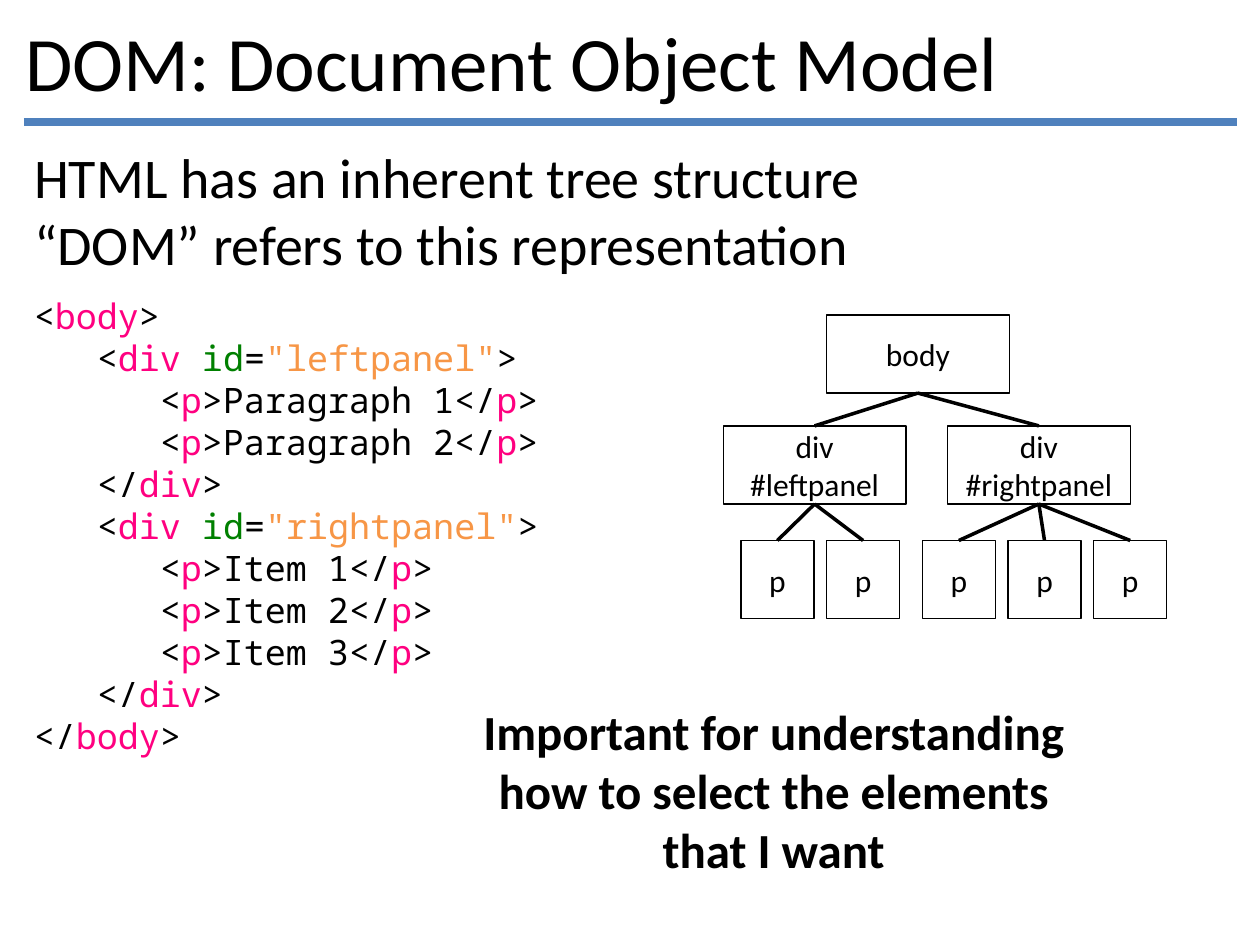
"""Build the slide that shows an HTML snippet beside its DOM tree."""
from lxml.etree import SubElement
from pptx import Presentation
from pptx.dml.color import RGBColor
from pptx.enum.shapes import MSO_CONNECTOR, MSO_SHAPE
from pptx.enum.text import MSO_ANCHOR, MSO_AUTO_SIZE, PP_ALIGN
from pptx.oxml.ns import qn
from pptx.util import Inches, Pt

BLACK, RULE, TAG, ATTR, VALUE = "000000", "4F81BD", "FF0080", "008000", "F79646"
SANS, MONO = "Calibri", "Noto Sans Mono"

TITLE = "DOM: Document Object Model"
BODY = ["HTML has an inherent tree structure", "“DOM” refers to this representation"]
NOTE = "Important for understanding how to select the elements that I want"
PANELS = [
    ("leftpanel", ["Paragraph 1", "Paragraph 2"]),
    ("rightpanel", ["Item 1", "Item 2", "Item 3"]),
]

NODE_H, PANEL_W, LEAF_W, LEAF_STEP = 0.62, 1.45, 0.58, 0.68
ROOT_X, ROOT_Y, PANEL_Y, LEAF_Y = 6.56, 2.5, 3.38, 4.29
PANEL_XS, LEAF_XS = [5.74, 7.52], [5.88, 7.32]


def rgb(color):
    return RGBColor.from_string(color)


def add_run(p, text, size, color=BLACK, font=SANS, bold=False):
    r = p.add_run()
    r.text = text
    r.font.size, r.font.name, r.font.bold = Pt(size), font, bold
    r.font.color.rgb = rgb(color)


def fill_text(tf, lines, size, align=PP_ALIGN.LEFT, font=SANS, bold=False):
    """Write each line, a list of (text, color) runs, as one paragraph."""
    for i, line in enumerate(lines):
        p = tf.paragraphs[0] if i == 0 else tf.add_paragraph()
        p.alignment = align
        p.space_before = Pt(0)
        for text, color in line:
            add_run(p, text, size, color, font, bold)


def plain(*texts):
    return [[(text, BLACK)] for text in texts]


def place(sp, x, y, w, h):
    sp.left, sp.top, sp.width, sp.height = map(Inches, (x, y, w, h))


def add_text(slide, x, y, w, h, wrap=True):
    tf = slide.shapes.add_textbox(*map(Inches, (x, y, w, h))).text_frame
    tf.word_wrap = wrap
    return tf


def add_line(slide, start, end, color=BLACK, width=2):
    line = slide.shapes.add_connector(MSO_CONNECTOR.STRAIGHT, *map(Inches, start + end))
    line.line.color.rgb, line.line.width = rgb(color), Pt(width)
    SubElement(line._element.spPr, qn("a:effectLst"))


def add_node(slide, x, y, w, *texts, parent=None):
    """Draw a tree node, link it to its parent and return its bottom centre."""
    sp = slide.shapes.add_shape(MSO_SHAPE.RECTANGLE, *map(Inches, (x, y, w, NODE_H)))
    sp.shadow.inherit = False
    sp.fill.background()
    sp.line.color.rgb, sp.line.width = rgb(BLACK), Pt(0.75)
    sp.text_frame.vertical_anchor = MSO_ANCHOR.MIDDLE
    fill_text(sp.text_frame, plain(*texts), 18, PP_ALIGN.CENTER)
    if parent:
        add_line(slide, parent, (x + w / 2, y))
    return x + w / 2, y + NODE_H


def tag(mark, name, indent=""):
    return [(indent + mark, BLACK), (name, TAG), (">", BLACK)]


def code_lines():
    lines = [tag("<", "body")]
    for name, items in PANELS:
        lines.append([("\t<", BLACK), ("div ", TAG), ("id", ATTR), ("=", BLACK),
                      (f'"{name}"', VALUE), (">", BLACK)])
        lines += [[("\t\t<", BLACK), ("p", TAG), (f">{item}</", BLACK),
                   ("p", TAG), (">", BLACK)] for item in items]
        lines.append(tag("</", "div", "\t"))
    return lines + [tag("</", "body")]


def set_tabs(p, *stops):
    tabs = SubElement(p._p.get_or_add_pPr(), qn("a:tabLst"))
    for stop in stops:
        SubElement(tabs, qn("a:tab"), pos=str(Inches(stop)), algn="l")


def remove_bullet(p):
    pPr = p._p.get_or_add_pPr()
    pPr.set("marL", "0")
    pPr.set("indent", "0")
    SubElement(pPr, qn("a:buNone"))


def main():
    prs = Presentation()
    prs.slide_width, prs.slide_height = Inches(10), Inches(7.5)
    slide = prs.slides.add_slide(prs.slide_layouts[1])
    add_line(slide, (0.19, 0.97), (9.82, 0.97), RULE, 4.5)

    title, body = slide.placeholders
    place(title, 0, 0, 10, 0.97)
    place(body, 0.17, 1.08, 9.66, 1.18)
    for sp in (title, body):
        sp.text_frame.auto_size = MSO_AUTO_SIZE.NONE
    tf = title.text_frame
    tf.margin_left = tf.margin_right = Inches(0.2)
    tf.vertical_anchor = MSO_ANCHOR.MIDDLE
    fill_text(tf, plain(TITLE), 44)
    fill_text(body.text_frame, plain(*BODY), 32)
    for p in body.text_frame.paragraphs:
        remove_bullet(p)

    code = add_text(slide, 0.17, 2.29, 4.24, 3.8, wrap=False)
    fill_text(code, code_lines(), 20, font=MONO)
    for p in code.paragraphs:
        set_tabs(p, 0.5, 1)

    root = add_node(slide, ROOT_X, ROOT_Y, PANEL_W, "body")
    for (name, items), panel_x, leaf_x in zip(PANELS, PANEL_XS, LEAF_XS):
        panel = add_node(slide, panel_x, PANEL_Y, PANEL_W, "div", f"#{name}", parent=root)
        for i in range(len(items)):
            add_node(slide, leaf_x + i * LEAF_STEP, LEAF_Y, LEAF_W, "p", parent=panel)

    note = add_text(slide, 3.54, 5.52, 5.2, 1.51)
    fill_text(note, plain(NOTE), 28, PP_ALIGN.CENTER, bold=True)
    prs.save("out.pptx")


if __name__ == "__main__":
    main()
